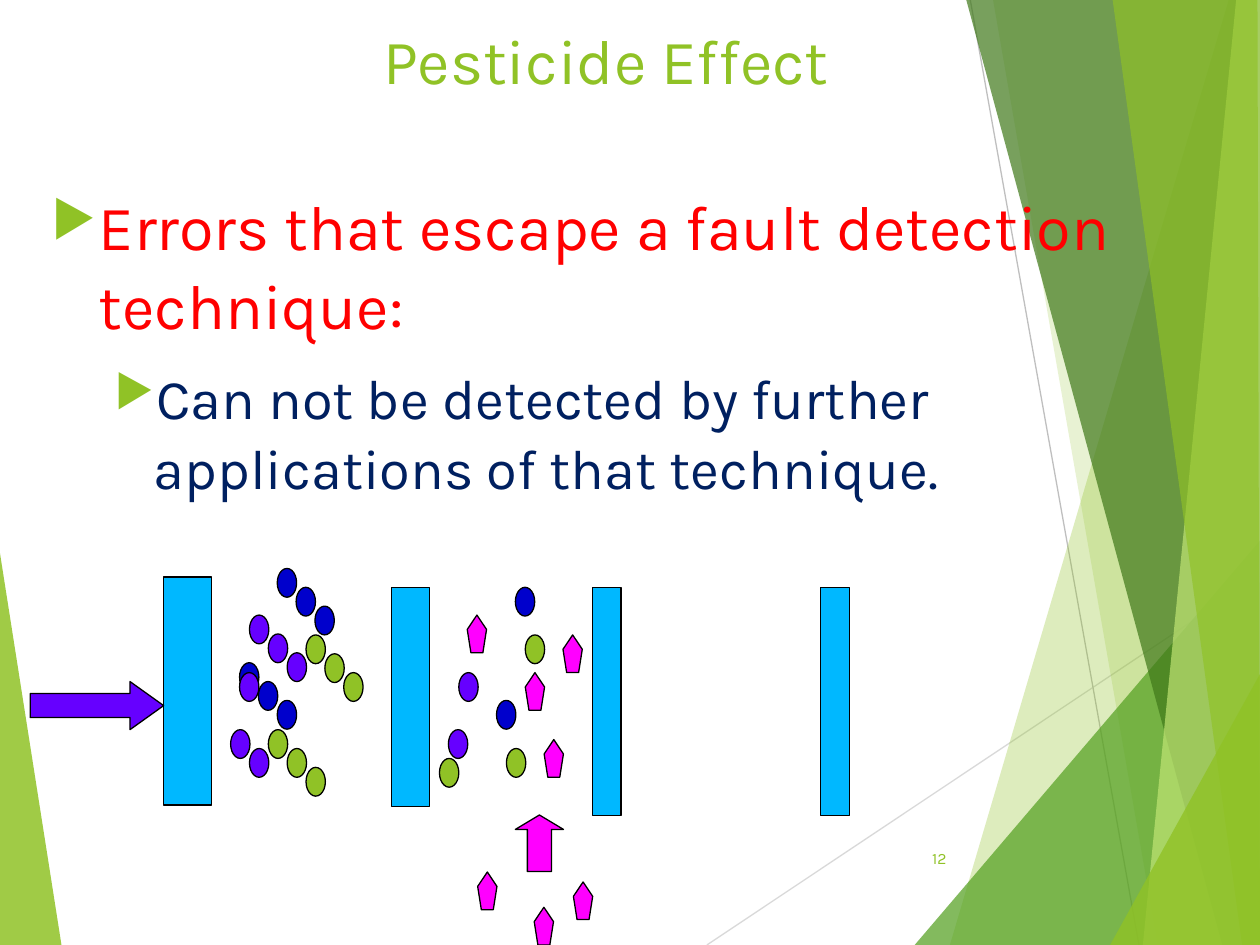
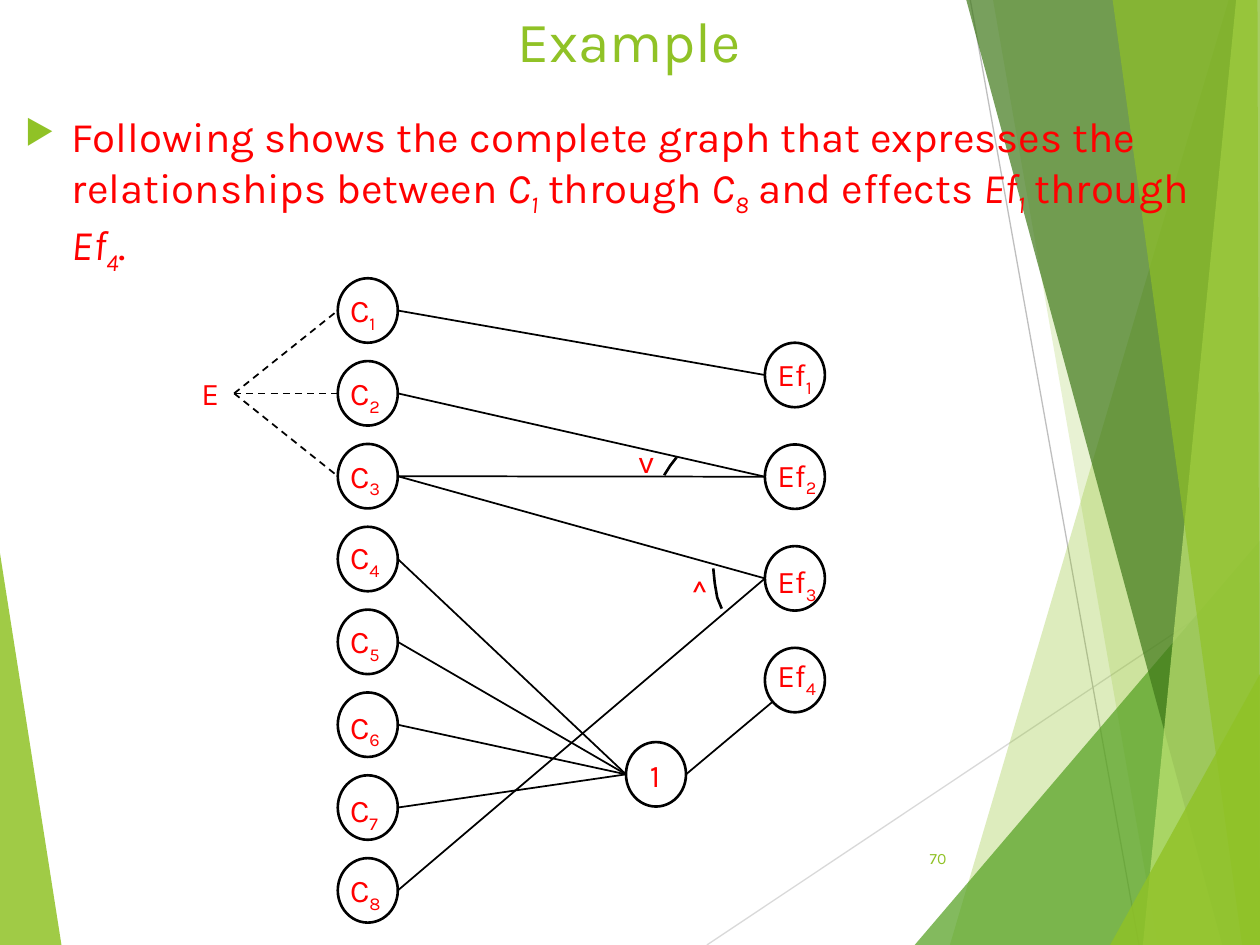
import pptx
import pptx.util
import pptx.dml.color
import pptx.enum.dml
import pptx.enum.shapes
import pptx.enum.text
import pptx.oxml.ns
from lxml import etree

Cm = pptx.util.Cm
Pt = pptx.util.Pt
RGB = pptx.dml.color.RGBColor
SHAPE = pptx.enum.shapes.MSO_SHAPE
ALIGN = pptx.enum.text.PP_ALIGN
qn = pptx.oxml.ns.qn

FONT = "Karla"
LIME = RGB(0x90, 0xC2, 0x26)
GREEN = RGB(0x54, 0xA0, 0x21)
FOREST = RGB(0x3F, 0x78, 0x19)
PALE = RGB(0xC0, 0xE4, 0x74)
LIGHT_GREY = RGB(0xD9, 0xD9, 0xD9)
GREY = RGB(0xBF, 0xBF, 0xBF)
BLACK = RGB(0, 0, 0)
RED = RGB(0xFF, 0, 0)
NAVY = RGB(0, 0x20, 0x60)
SKY = RGB(0, 0xB8, 0xFF)
VIOLET = RGB(0x66, 0, 0xFF)
BLUE = RGB(0, 0, 0xCC)
MAGENTA = RGB(0xFF, 0, 0xFF)


def add_text(s, x, y, w, h, paras, align=ALIGN.LEFT, wrap=True, spacing=None):
    """Each paragraph is (runs, size, colour, indent); a run is (text, style).

    Style letters: i for italic, s for subscript. An indent is (margin, hanging).
    """
    tf = s.shapes.add_textbox(Cm(x), Cm(y), Cm(w), Cm(h)).text_frame
    tf.word_wrap = wrap
    for n, (runs, size, color, indent) in enumerate(paras):
        p = tf.add_paragraph() if n else tf.paragraphs[0]
        if indent:
            pPr = p._p.get_or_add_pPr()
            pPr.set("marL", str(Cm(indent[0])))
            pPr.set("indent", str(-Cm(indent[1])))
            clr = etree.SubElement(pPr, qn("a:buClr"))
            etree.SubElement(clr, qn("a:srgbClr")).set("val", str(LIME))
            etree.SubElement(pPr, qn("a:buSzPct")).set("val", "80000")
            etree.SubElement(pPr, qn("a:buChar")).set("char", "▶")
        p.alignment = align
        p.level = n
        if spacing:
            p.line_spacing = spacing
        if n:
            p.space_before = Pt(10)
        for text, style in runs:
            r = p.add_run()
            r.text = text
            r.font.name = FONT
            r.font.size = Pt(size)
            r.font.color.rgb = color
            r.font.italic = "i" in style
            if "s" in style:
                r._r.get_or_add_rPr().set("baseline", "-25000")
    return tf


def add_line(s, x1, y1, x2, y2, color=BLACK, width=1, dashed=False):
    c = s.shapes.add_connector(pptx.enum.shapes.MSO_CONNECTOR.STRAIGHT,
                               Cm(x1), Cm(y1), Cm(x2), Cm(y2))
    c.line.color.rgb = color
    c.line.width = Pt(width)
    if dashed:
        c.line.dash_style = pptx.enum.dml.MSO_LINE.DASH
    etree.SubElement(c._element.spPr, qn("a:effectLst"))


prs = pptx.Presentation()
W, H = 25.4, 19.05
prs.slide_width = Cm(W)
prs.slide_height = Cm(H)

# Shared backdrop: translucent facets (colour, opacity %, outline), title, page number
facets = [
    (LIME, 85, [(0, 11.15), (1.24, H), (0, H)]),
    (LIME, 30, [(24.77, 0), (19.15, H), (W, H), (W, 0)]),
    (LIME, 20, [(20.02, 0), (23.34, H), (W, H), (W, 0)]),
    (GREEN, 72, [(18.44, H), (W, 10.9), (W, H)]),
    (FOREST, 70, [(19.48, 0), (24.64, H), (W, H), (W, 0)]),
    (PALE, 70, [(24.92, 0), (23.04, H), (W, H), (W, 0)]),
    (LIME, 65, [(22.43, 0), (25.04, H), (W, H), (25.35, 0)]),
    (LIME, 80, [(22.38, H), (W, 13.59), (W, H)]),
]
pages = [
    ("Pesticide Effect", 36, (3.4, 0.3, 17.63, 3.66), "12"),
    ("Example", 32.4, (0.3, 0, 24.77, 1.35), "70"),
]
for title, size, box, number in pages:
    s = prs.slides.add_slide(prs.slide_layouts[6])
    add_line(s, 14.25, H, W, 11.61, LIGHT_GREY, 0.75)
    add_line(s, 19.56, 0, 22.96, H, GREY, 0.75)
    for color, opacity, pts in facets:
        pts = [(Cm(x), Cm(y)) for x, y in pts]
        fb = s.shapes.build_freeform(*pts[0])
        fb.add_line_segments(pts[1:], close=True)
        sp = fb.convert_to_shape()
        sp.shadow.inherit = False
        sp.fill.solid()
        sp.fill.fore_color.rgb = color
        clr = sp._element.spPr.find(".//" + qn("a:srgbClr"))
        etree.SubElement(clr, qn("a:alpha")).set("val", str(opacity * 1000))
        sp.line.fill.background()
    add_text(s, *box, [([(title, "")], size, LIME, None)], ALIGN.CENTER)
    tf = add_text(s, 17.91, 16.79, 1.42, 1.02,
                  [([(number, "")], 9, LIME, None)], ALIGN.RIGHT)
    tf.vertical_anchor = pptx.enum.text.MSO_ANCHOR.MIDDLE

pesticide, example = prs.slides

# Pesticide Effect: statement
add_text(pesticide, 0.79, 3.58, 24, 14.35, [
    ([("Errors that escape a fault detection technique:", "")], 36, RED, (0.95, 0.95)),
    ([("Can not be detected by further applications of that technique.", "")],
     32, NAVY, (2.06, 0.79)),
], spacing=1.05)

# Filters and the arrows that feed them
shapes = [
    (SHAPE.RECTANGLE, SKY, 3.3, 11.63, 0.97, 4.6),
    (SHAPE.RECTANGLE, SKY, 7.9, 11.84, 0.76, 4.42),
    (SHAPE.RECTANGLE, SKY, 11.94, 11.84, 0.58, 4.6),
    (SHAPE.RECTANGLE, SKY, 16.54, 11.84, 0.58, 4.6),
    (SHAPE.RIGHT_ARROW, VIOLET, 0.61, 13.74, 2.69, 0.97),
    (SHAPE.UP_ARROW, MAGENTA, 10.39, 16.43, 0.97, 1.14),
]
# Bugs run down diagonals: colour, first x and y, count
bugs = [
    (BLUE, 4.83, 13.36, 3), (VIOLET, 4.83, 13.56, 1), (VIOLET, 4.65, 14.71, 2),
    (LIME, 5.41, 14.71, 3), (BLUE, 5.59, 11.46, 3), (VIOLET, 5.03, 12.4, 3),
    (LIME, 6.17, 12.8, 3), (LIME, 8.86, 15.29, 1), (BLUE, 10.01, 14.12, 1),
    (VIOLET, 9.25, 13.56, 1), (VIOLET, 9.04, 14.71, 1), (LIME, 10.21, 15.09, 1),
    (BLUE, 10.39, 11.84, 1), (LIME, 10.59, 12.8, 1),
]
BUG_STEP = 0.38
for color, x, y, count in bugs:
    for i in range(count):
        shapes.append((SHAPE.OVAL, color, x + i * BUG_STEP, y + i * BUG_STEP, 0.39, 0.58))
# New bugs
for x, y in [(9.42, 12.4), (10.59, 13.56), (10.97, 14.91), (11.35, 12.8),
             (9.63, 17.58), (10.77, 18.29), (11.56, 17.78)]:
    shapes.append((SHAPE.REGULAR_PENTAGON, MAGENTA, x, y, 0.39, 0.76))

head_lengths = {SHAPE.RIGHT_ARROW: 0.7, SHAPE.UP_ARROW: 0.3}
for kind, color, x, y, w, h in shapes:
    sp = pesticide.shapes.add_shape(kind, Cm(x), Cm(y), Cm(w), Cm(h))
    sp.shadow.inherit = False
    sp.fill.solid()
    sp.fill.fore_color.rgb = color
    sp.line.color.rgb = BLACK
    sp.line.width = Pt(0.75)
    if kind in head_lengths:
        sp.adjustments[0] = 0.5
        sp.adjustments[1] = head_lengths[kind]

# Example: statement
add_text(example, 0.25, 2.11, 24.77, 3.4, [([
    ("Following shows the complete graph that expresses the relationships between ", ""),
    ("C", "i"), ("1", "is"), (" through ", ""), ("C", "i"), ("8", "is"),
    (" and effects ", ""), ("Ef", "i"), ("1", "is"), (" through ", ""),
    ("Ef", "i"), ("4", "is"), (".", ""),
], 24, RED, (0.95, 0.95))])

# Graph nodes: name, index, left, top, label left, label drop
NODE_W, NODE_H = 1.21, 1.3
CAUSE_X, EFFECT_X, JOIN_X = 6.81, 15.42, 12.62
cause_tops = [5.61 + 1.67 * i for i in range(8)]
effect_tops = [6.91 + 2.05 * i for i in range(4)]
JOIN_TOP = 14.96
cause_drops = [0.13, 0.13, 0.13, 0.1, 0.13, 0.18, 0.2, 0.13]
effect_drops = [0.13, 0.1, 0.2, 0.05]
nodes = [("C", str(i + 1), CAUSE_X, top, CAUSE_X, drop)
         for i, (top, drop) in enumerate(zip(cause_tops, cause_drops))]
nodes += [("Ef", str(i + 1), EFFECT_X, top, EFFECT_X, drop)
          for i, (top, drop) in enumerate(zip(effect_tops, effect_drops))]
nodes.append(("1", "", JOIN_X, JOIN_TOP, 12.85, 0.15))
labels = [("E", "", 3.81, 7.42), ("v", "", 12.62, 8.79), ("^", "", 13.69, 11.35)]
for name, index, x, y, label_x, drop in nodes:
    sp = example.shapes.add_shape(SHAPE.OVAL, Cm(x), Cm(y), Cm(NODE_W), Cm(NODE_H))
    sp.shadow.inherit = False
    sp.fill.background()
    sp.line.color.rgb = BLACK
    sp.line.width = Pt(1.5)
    labels.append((name, index, label_x, y + drop))

for name, index, x, y in labels:
    runs = [(name, "")] + ([(index, "s")] if index else [])
    add_text(example, x, y, 1.35 if name == "Ef" else 1.2 if index else 0.9, 1.02,
             [(runs, 18, RED, None)], wrap=False)

# Graph edges
cause_y = [top + NODE_H / 2 for top in cause_tops]
effect_y = [top + NODE_H / 2 for top in effect_tops]
join_y = JOIN_TOP + NODE_H / 2
cause_right = CAUSE_X + NODE_W
for i in range(3):
    add_line(example, 4.72, cause_y[1], CAUSE_X, cause_y[i], dashed=True)
for cause, effect in [(0, 0), (1, 1), (2, 1), (2, 2), (7, 2)]:
    add_line(example, cause_right, cause_y[cause], EFFECT_X, effect_y[effect])
for cause in range(3, 7):
    add_line(example, cause_right, cause_y[cause], JOIN_X, join_y)
add_line(example, JOIN_X + NODE_W, join_y, 15.57, 14.15)

# Arcs that mark the "or" and "and" joins
for pts in [[(13.64, 9.22), (13.51, 9.39), (13.39, 9.58)],
            [(14.38, 11.46), (14.41, 11.76), (14.46, 12.05), (14.55, 12.27)]]:
    pts = [(Cm(x), Cm(y)) for x, y in pts]
    fb = example.shapes.build_freeform(*pts[0])
    fb.add_line_segments(pts[1:], close=False)
    sp = fb.convert_to_shape()
    sp.shadow.inherit = False
    sp.fill.background()
    sp.line.color.rgb = BLACK
    sp.line.width = Pt(1.5)

prs.save("out.pptx")
